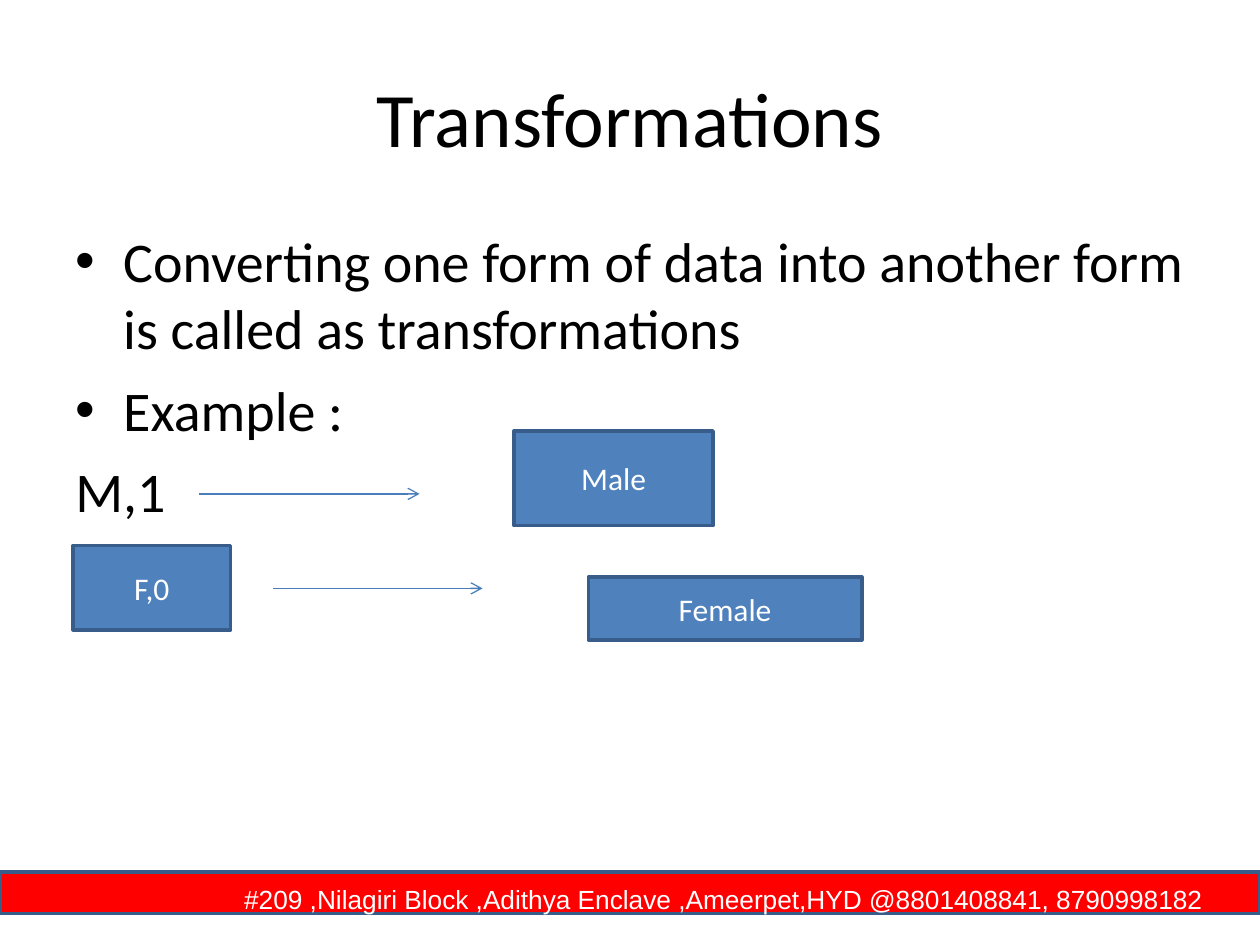
import pptx
import pptx.dml.color
import pptx.enum.shapes
import pptx.enum.text
import pptx.oxml.ns
import pptx.util
from lxml import etree
from pptx.util import Inches

ALIGN = pptx.enum.text.PP_ALIGN
ANCHOR = pptx.enum.text.MSO_ANCHOR


def color(value):
    """Turn a hex string into a colour."""
    return pptx.dml.color.RGBColor.from_string(value)


def add_element(parent, tag, **attributes):
    """Append a DrawingML element to a parent."""
    return etree.SubElement(parent, pptx.oxml.ns.qn(tag), **attributes)


def write_text(paragraph, text, size=18, font="Calibri", fill="000000",
               align=ALIGN.LEFT):
    """Write formatted text into a paragraph."""
    paragraph.text = text
    paragraph.alignment = align
    paragraph.font.size = pptx.util.Pt(size)
    paragraph.font.name = font
    paragraph.font.color.rgb = color(fill)


def add_text_box(slide, left, top, width, height, anchor=ANCHOR.TOP):
    """Add a wrapping text box and return its text frame."""
    shape = slide.shapes.add_textbox(
        Inches(left), Inches(top), Inches(width), Inches(height))
    frame = shape.text_frame
    frame.word_wrap = True
    frame.vertical_anchor = anchor
    return frame


def add_box(slide, left, top, width, height, text, fill="4F81BD", **text_format):
    """Add a bordered rectangle with white text and return its text frame."""
    shape = slide.shapes.add_shape(
        pptx.enum.shapes.MSO_SHAPE.RECTANGLE,
        Inches(left), Inches(top), Inches(width), Inches(height))
    shape.shadow.inherit = False
    shape.fill.solid()
    shape.fill.fore_color.rgb = color(fill)
    shape.line.color.rgb = color("385D8A")
    shape.line.width = pptx.util.Pt(2)
    frame = shape.text_frame
    frame.word_wrap = True
    frame.vertical_anchor = ANCHOR.MIDDLE
    write_text(frame.paragraphs[0], text, fill="FFFFFF",
               **{"align": ALIGN.CENTER, **text_format})
    return frame


def add_arrow(slide, start, end, y):
    """Add a thin horizontal arrow."""
    connector = slide.shapes.add_connector(
        pptx.enum.shapes.MSO_CONNECTOR.STRAIGHT,
        Inches(start), Inches(y), Inches(end), Inches(y))
    connector.line.color.rgb = color("4A7EBB")
    connector.line.width = pptx.util.Pt(0.75)
    add_element(connector.line._get_or_add_ln(), "a:tailEnd", type="arrow")
    add_element(connector._element.spPr, "a:effectLst")


def add_body(slide, items):
    """Add the body paragraphs, given as text and bullet flag."""
    frame = add_text_box(slide, 0.5, 1.75, 9, 4.95)
    for index, (text, bulleted) in enumerate(items):
        paragraph = frame.add_paragraph() if index else frame.paragraphs[0]
        if index:
            paragraph.space_before = pptx.util.Pt(8)
        if bulleted:
            properties = paragraph._p.get_or_add_pPr()
            properties.set("marL", str(Inches(0.38)))
            properties.set("indent", str(Inches(-0.38)))
            add_element(properties, "a:buFont", typeface="Arial")
            add_element(properties, "a:buChar", char="•")
        write_text(paragraph, text, size=32)


def add_footer(slide):
    """Add the red address bar."""
    frame = add_box(
        slide, 0, 6.92, 10, 0.33,
        "#209 ,Nilagiri Block ,Adithya Enclave ,Ameerpet,HYD @8801408841, 8790998182",
        fill="FF0000", size=15, font="Arial", align=ALIGN.RIGHT)
    frame.margin_right = Inches(0.45)
    frame.margin_top = Inches(0.1)
    frame.margin_bottom = 0


def main():
    """Build and save the slide."""
    presentation = pptx.Presentation()
    presentation.slide_width = Inches(10)
    presentation.slide_height = Inches(7.5)
    slide = presentation.slides.add_slide(presentation.slide_layouts[6])

    add_footer(slide)
    title = add_text_box(slide, 0.5, 0.3, 9, 1.25, anchor=ANCHOR.MIDDLE)
    write_text(title.paragraphs[0], "Transformations", size=44, align=ALIGN.CENTER)
    add_body(slide, [
        ("Converting one form of data into another form is called as transformations", True),
        ("Example :", True),
        ("M,1", False),
    ])

    add_arrow(slide, 1.58, 3.33, 3.92)
    add_box(slide, 4.08, 3.42, 1.58, 0.75, "Male")
    add_box(slide, 0.58, 4.33, 1.25, 0.67, "F,0")
    add_arrow(slide, 2.17, 3.83, 4.67)
    add_box(slide, 4.67, 4.58, 2.17, 0.5, "Female")

    presentation.save("out.pptx")


if __name__ == "__main__":
    main()
